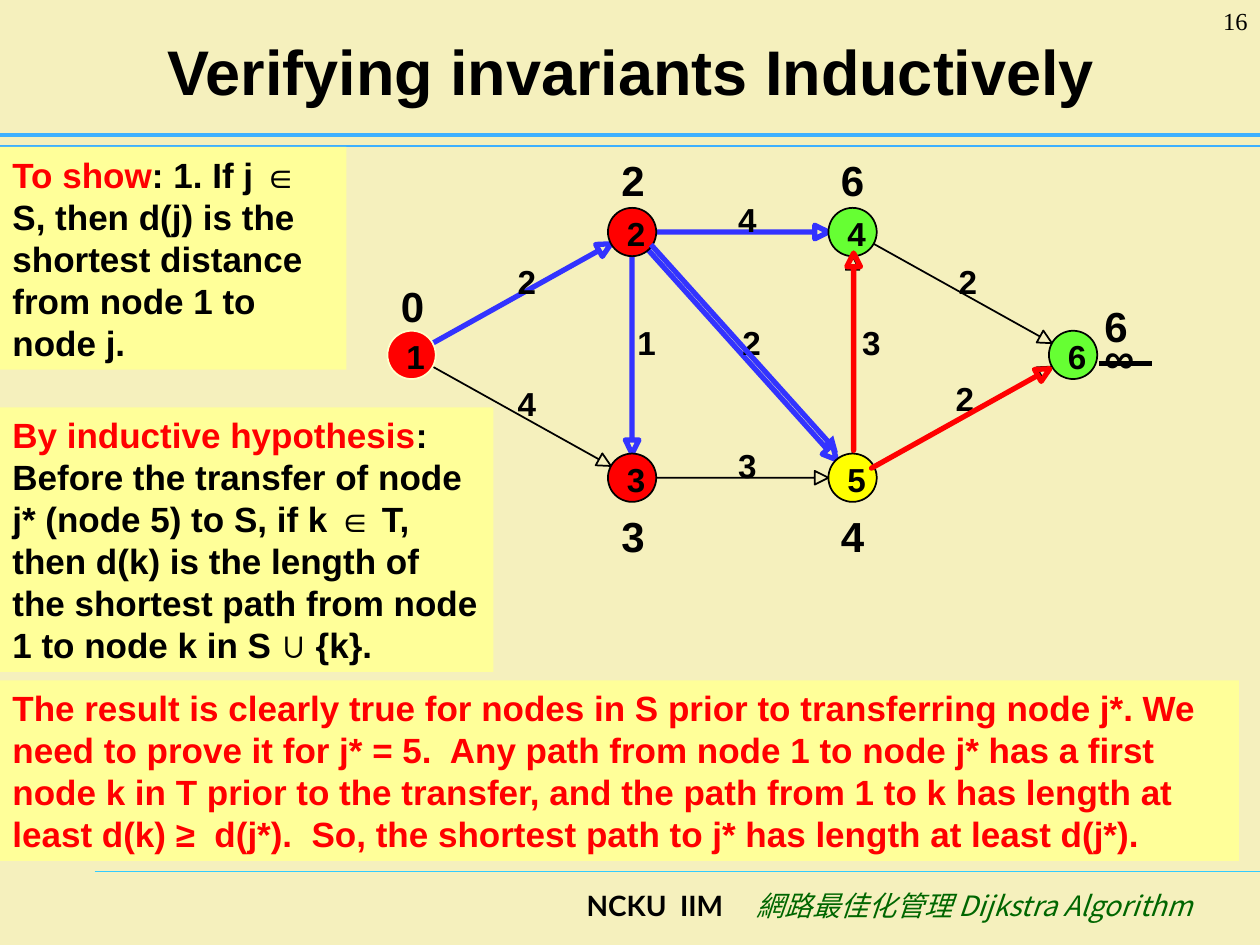
import math

import pptx
import pptx.dml.color
import pptx.enum.shapes
import pptx.enum.text
import pptx.oxml.ns
import pptx.util
from lxml import etree

COLS, ROWS = 120, 90
UNIT = pptx.util.Inches(10) // COLS
BLACK, RED, BLUE, GREEN = "000000", "FF0000", "3333FF", "66FF33"
ALIGN = pptx.enum.text.PP_ALIGN
NODES = {
    "1": (0, 1, RED, "FFFFCC"), "2": (1, 0, RED, BLACK), "3": (1, 2, RED, BLACK),
    "4": (2, 0, GREEN, BLACK), "5": (2, 2, "FFFF00", BLACK), "6": (3, 1, GREEN, BLACK),
}
EDGES = [
    ("1", "2", "2", BLUE, -0.4, -3.1), ("2", "4", "4", BLUE, -0.4, -3.1),
    ("2", "5", "2", BLUE, 0, -3.1), ("2", "3", "1", BLUE, 0.5, -3.1),
    ("3", "5", "3", BLACK, -0.4, -3.1), ("1", "3", "4", BLACK, -0.4, -3.1),
    ("4", "6", "2", BLACK, -0.4, -3.1), ("5", "4", "3", BLACK, 0.9, -3.1),
    ("5", "6", "2", BLACK, -0.7, -3.6),
]
DISTANCES = [
    ("1", "0", -2.2, -7.7), ("2", "2", -2.2, -8), ("3", "3", -2.2, 2.5),
    ("4", "6", -2.3, -8), ("5", "4", -2.3, 2.5), ("6", "∞", 1.8, -2.8),
    ("6", "6", 1.8, -5.8),
]


def color(value):
    """Return the colour for a hex string."""
    return pptx.dml.color.RGBColor.from_string(value)


def grid(*lengths):
    """Convert grid lengths to EMU."""
    return [round(n * UNIT) for n in lengths]


def paint(sp, fill, line, width):
    """Set the fill and line of a shape, None meaning neither."""
    sp.shadow.inherit = False
    if fill:
        sp.fill.solid()
        sp.fill.fore_color.rgb = color(fill)
    else:
        sp.fill.background()
    if line:
        sp.line.color.rgb = color(line)
        sp.line.width = pptx.util.Pt(width)
    else:
        sp.line.fill.background()


def style(font, size, rgb=BLACK, name="Arial", bold=True):
    """Set the look of a font."""
    font.size, font.name, font.bold = pptx.util.Pt(size), name, bold
    font.color.rgb = color(rgb)


def text(s, box, words, size, align=ALIGN.LEFT, middle=False, **look):
    """Add a text box holding one paragraph."""
    tf = s.shapes.add_textbox(*grid(*box)).text_frame
    tf.word_wrap = True
    if middle:
        tf.vertical_anchor = pptx.enum.text.MSO_ANCHOR.MIDDLE
    p = tf.paragraphs[0]
    p.text, p.alignment = words, align
    style(p.font, size, **look)
    return tf


def label(s, x, y, words):
    """Add a small number without margins."""
    tf = text(s, (x, y, 1.8, 3.8), words, 19)
    tf.word_wrap = False
    tf.margin_left = tf.margin_right = tf.margin_top = tf.margin_bottom = 0


def line(s, start, end, rgb, width, arrow=False):
    """Add a straight line, with an arrowhead if asked."""
    c = s.shapes.add_connector(
        pptx.enum.shapes.MSO_CONNECTOR.STRAIGHT, *grid(*start, *end))
    c.line.color.rgb = color(rgb)
    c.line.width = pptx.util.Pt(width)
    qn = pptx.oxml.ns.qn
    if arrow:
        etree.SubElement(c.line._get_or_add_ln(), qn("a:tailEnd"), type="triangle")
    etree.SubElement(c._element.spPr, qn("a:effectLst"))


def edge(s, start, end, rgb, dx=0, dy=0):
    """Draw an open-headed arrow between the rims of two nodes."""
    trim, head, half = 2.3, 1.3, 0.65
    length = math.dist(start, end)
    ux, uy = (end[0] - start[0]) / length, (end[1] - start[1]) / length

    def at(along, across=0):
        """Locate a point along and across the arrow."""
        return grid(start[0] + dx + along * ux - across * uy,
                    start[1] + dy + along * uy + across * ux)

    tip = length - trim
    neck = at(tip - head)
    fb = s.shapes.build_freeform(*at(trim))
    fb.add_line_segments([neck, at(tip - head, half), at(tip),
                          at(tip - head, -half), neck, at(trim)])
    paint(fb.convert_to_shape(), None, rgb, 1 if rgb == BLACK else 3)


def graph(s, left, top, width, height):
    """Draw the network with its node centres spread over the box."""
    size = 4.6
    centre = {n: (left + c * width / 3, top + r * height / 2)
              for n, (c, r, _, _) in NODES.items()}
    for a, b, weight, rgb, dx, dy in EDGES:
        (ax, ay), (bx, by) = centre[a], centre[b]
        edge(s, centre[a], centre[b], rgb)
        label(s, (ax + bx) / 2 + dx, (ay + by) / 2 + dy, weight)
    for n, (x, y) in centre.items():
        sp = s.shapes.add_shape(pptx.enum.shapes.MSO_SHAPE.OVAL,
                                *grid(x - size / 2, y - size / 2, size, size))
        paint(sp, *NODES[n][2:], 1)
        label(s, x - 0.5, y - 1.75, n)
    for n, words, dx, dy in DISTANCES:
        text(s, (centre[n][0] + dx, centre[n][1] + dy, 6, 6), words, 24)
    edge(s, centre["5"], centre["4"], RED, 0.1, -0.3)
    edge(s, centre["5"], centre["6"], RED, -0.2, 0.2)
    (x, y), (x2, y2), (x5, y5) = centre["6"], centre["2"], centre["5"]
    line(s, (x + 7.5, y + 0.8), (x + 2.5, y + 0.8), BLACK, 3)
    line(s, (x2 + 1.8, y2 + 1.2), (x5 - 1.4, y5 - 2.4), BLUE, 3, arrow=True)


def note(s, box, *runs):
    """Add a yellow note made of (words, colour) runs."""
    sp = s.shapes.add_shape(pptx.enum.shapes.MSO_SHAPE.RECTANGLE, *grid(*box))
    paint(sp, "FFFF99", None, 0)
    tf = sp.text_frame
    tf.word_wrap = True
    tf.vertical_anchor = pptx.enum.text.MSO_ANCHOR.TOP
    p = tf.paragraphs[0]
    p.alignment = ALIGN.LEFT
    for words, rgb in runs:
        r = p.add_run()
        r.text = words
        style(r.font, 20, rgb)


def header(s):
    """Add the title, its double rule and the page number."""
    line(s, (0, 13.9), (COLS, 13.9), "3DB0FF", 0.75)
    line(s, (0, 12.85), (COLS, 12.85), "3DB0FF", 2.5)
    text(s, (6.1, 1.5, 108, 10.4), "Verifying invariants Inductively", 36,
         ALIGN.CENTER, middle=True)
    text(s, (110, 0, 10, 6), "16", 14, ALIGN.RIGHT,
         name="Times New Roman", bold=False)


def footer(s, left, top, width, height):
    """Add the bottom rule and the course line."""
    line(s, (9, top - 1), (COLS, top - 1), "33CCFF", 0.75)
    tf = text(s, (left, top, width, height), "", 16, name="Lato")
    p = tf.paragraphs[0]
    qn = pptx.oxml.ns.qn
    tabs = etree.Element(qn("a:tabLst"))
    etree.SubElement(tabs, qn("a:tab"), pos=str(grid(16.2)[0]), algn="l")
    p._p.get_or_add_pPr().insert(0, tabs)
    r = p.add_run()
    r.text = "NCKU  IIM\t"
    style(r.font, 16, name="Lato")
    r = p.add_run()
    r.text = "網路最佳化管理 Dijkstra Algorithm"
    style(r.font, 16, "006600", "Noto Sans CJK SC", bold=False)
    r.font.italic = True
    etree.SubElement(r._r.get_or_add_rPr(), qn("a:ea"), typeface="Noto Sans CJK SC")


def main():
    """Build the slide and save it."""
    prs = pptx.Presentation()
    prs.slide_width, prs.slide_height = grid(COLS, ROWS)
    s = prs.slides.add_slide(prs.slide_layouts[6])
    s.background.fill.solid()
    s.background.fill.fore_color.rgb = color("F5F0BD")
    header(s)
    footer(s, 54.7, 84, 65, 6)
    graph(s, 39.2, 22.1, 63, 23.4)
    note(s, (0, 14, 33, 21.2), ("To show", RED),
         (": 1. If j ∈ S, then d(j) is the shortest distance from node 1 to node j.",
          BLACK))
    note(s, (0, 38.8, 47, 25.2), ("By inductive hypothesis", RED),
         (": Before the transfer of node j* (node 5) to S, if k ∈ T, then d(k) is the "
          "length of the shortest path from node 1 to node k in S ∪ {k}.", BLACK))
    note(s, (0, 64.8, 118, 17.2),
         ("The result is clearly true for nodes in S prior to transferring node j*. "
          "We need to prove it for j* = 5.  Any path from node 1 to node j* has a first "
          "node k in T prior to the transfer, and the path from 1 to k has length at "
          "least d(k) ≥  d(j*).  So, the shortest path to j* has length at least d(j*).",
          RED))
    prs.save("out.pptx")


if __name__ == "__main__":
    main()
